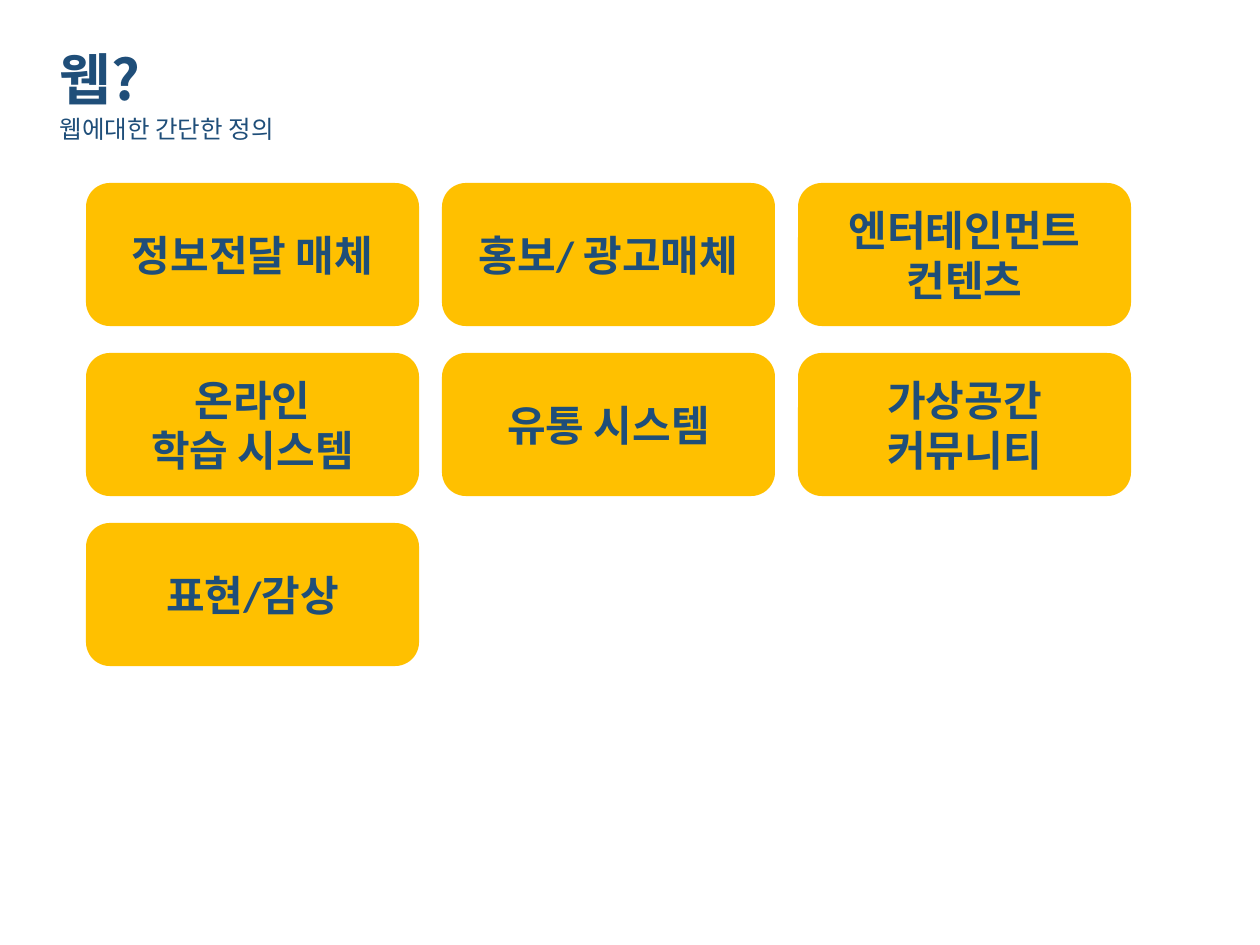
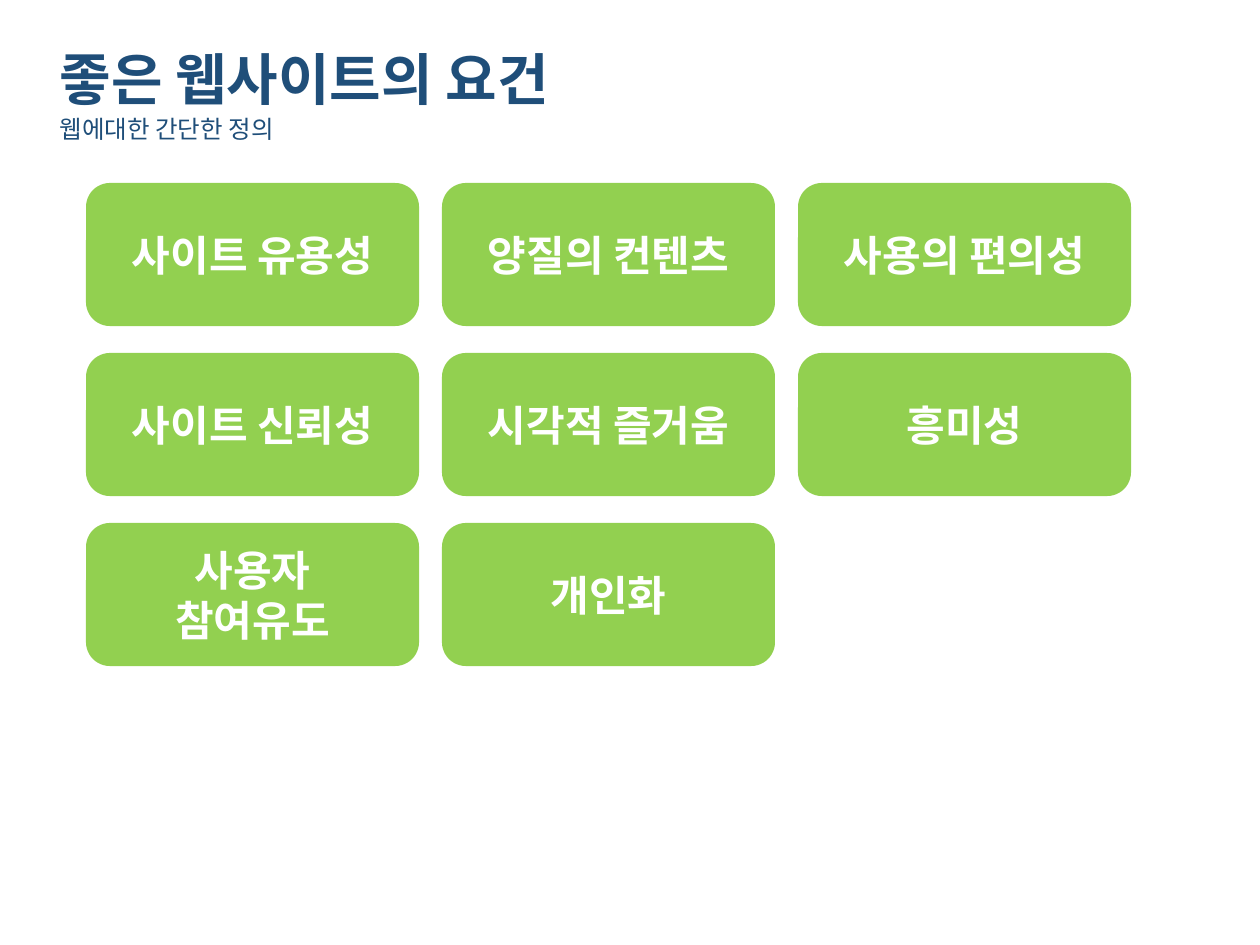
from lxml import etree
from pptx import Presentation
from pptx import util as u
from pptx.dml.color import RGBColor
from pptx.enum import shapes, text
from pptx.oxml.ns import qn

PX = u.Inches(1) / 126
NAVY = RGBColor(0x1F, 0x4E, 0x79)
AMBER = RGBColor(0xFF, 0xC0, 0x00)
GREEN = RGBColor(0x92, 0xD0, 0x50)
WHITE = RGBColor(0xFF, 0xFF, 0xFF)
KOREAN = "Noto Sans CJK KR"
LATIN = "Calibri"

COLUMNS = 3
CARD_LEFT, CARD_TOP = 86, 183
CARD_WIDTH, CARD_HEIGHT = 333, 143
COLUMN_STEP, ROW_STEP = 356, 170

SUBTITLE = "웹에대한 간단한 정의"
TOPICS = [
    ("웹?", AMBER, NAVY, [
        "정보전달 매체", "홍보/ 광고매체", "엔터테인먼트\n컨텐츠",
        "온라인\n학습 시스템", "유통 시스템", "가상공간\n커뮤니티",
        "표현/감상"]),
    ("좋은 웹사이트의 요건", GREEN, WHITE, [
        "사이트 유용성", "양질의 컨텐츠", "사용의 편의성",
        "사이트 신뢰성", "시각적 즐거움", "흥미성",
        "사용자\n참여유도", "개인화"]),
]


def place(shape, left, top, width, height):
    """Move and size a shape, all in px."""
    shape.left, shape.top = u.Emu(round(left * PX)), u.Emu(round(top * PX))
    shape.width, shape.height = u.Emu(round(width * PX)), u.Emu(round(height * PX))


def write(shape, wording, size, color, bold, latin, align, anchor, line_spacing=1.0):
    """Fill a shape with one paragraph per line, in a Latin and a Korean font."""
    frame = shape.text_frame
    frame.word_wrap = True
    frame.auto_size = text.MSO_AUTO_SIZE.NONE
    frame.vertical_anchor = anchor
    for number, line in enumerate(wording.split("\n")):
        paragraph = frame.add_paragraph() if number else frame.paragraphs[0]
        paragraph.alignment = align
        paragraph.line_spacing = line_spacing
        paragraph.space_before = u.Pt(0)
        run = paragraph.add_run()
        run.text = line
        run.font.size = u.Pt(size)
        run.font.bold = bold
        run.font.color.rgb = color
        run.font.name = latin
        east_asian = etree.SubElement(run.font._element, qn("a:ea"))
        east_asian.set("typeface", KOREAN)


deck = Presentation()
deck.slide_width, deck.slide_height = u.Inches(10), u.Inches(7.5)
section_layout = deck.slide_layouts[2]

for heading, card_color, label_color, labels in TOPICS:
    slide = deck.slides.add_slide(section_layout)
    title, subtitle = slide.placeholders

    place(title, 47, 50, 774, 69)
    write(title, heading, 32, NAVY, True, KOREAN,
          text.PP_ALIGN.LEFT, text.MSO_ANCHOR.MIDDLE, 0.8)
    place(subtitle, 47, 108, 888, 43)
    write(subtitle, SUBTITLE, 14, NAVY, False, KOREAN,
          text.PP_ALIGN.LEFT, text.MSO_ANCHOR.TOP)

    for index, label in enumerate(labels):
        row, column = divmod(index, COLUMNS)
        card = slide.shapes.add_shape(shapes.MSO_SHAPE.ROUNDED_RECTANGLE, 0, 0, 0, 0)
        place(card, CARD_LEFT + column * COLUMN_STEP, CARD_TOP + row * ROW_STEP,
              CARD_WIDTH, CARD_HEIGHT)
        card.shadow.inherit = False
        card.fill.solid()
        card.fill.fore_color.rgb = card_color
        card.line.fill.background()
        write(card, label, 24, label_color, True, LATIN,
              text.PP_ALIGN.CENTER, text.MSO_ANCHOR.MIDDLE)

deck.save("out.pptx")
